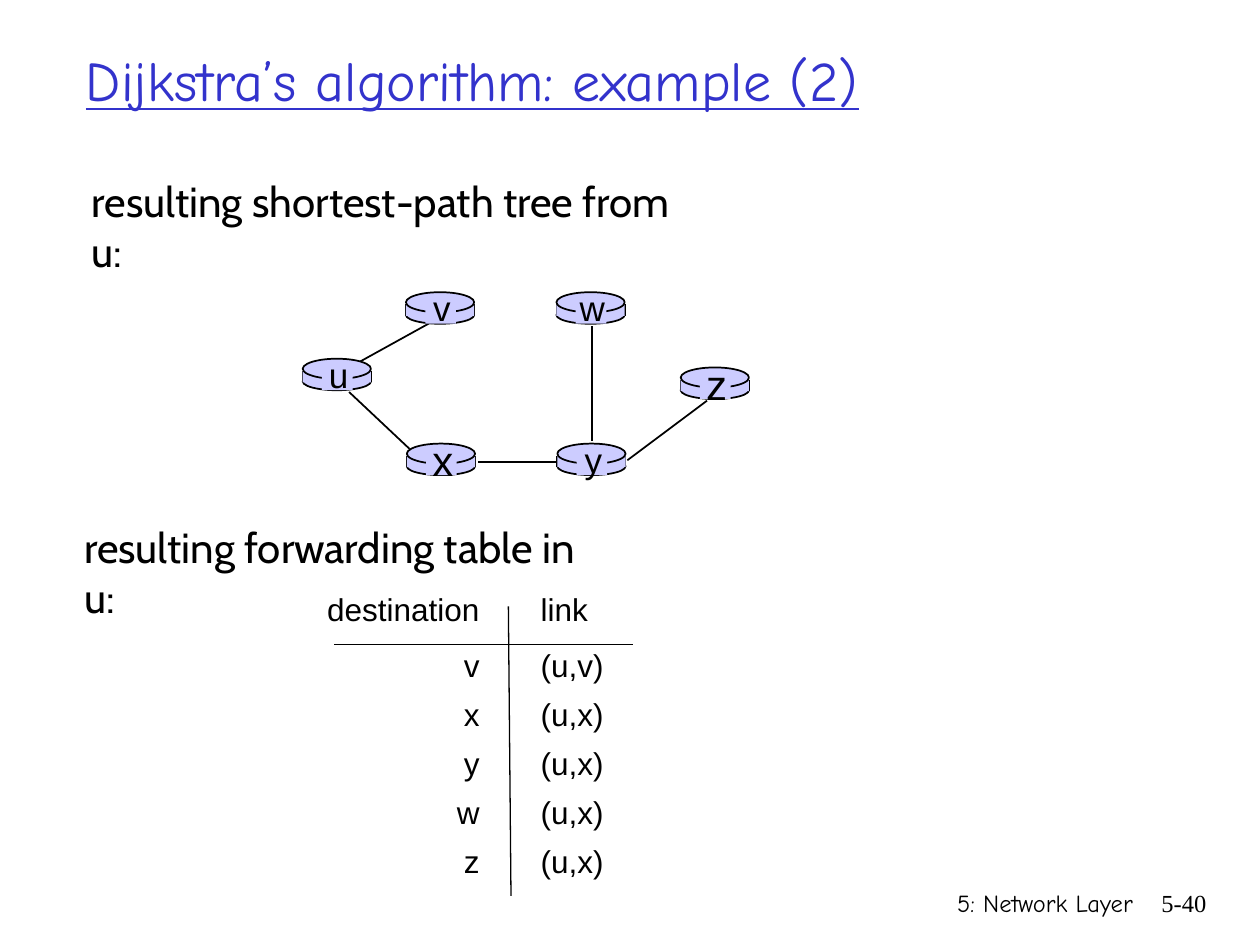
from dataclasses import dataclass

from lxml.etree import SubElement
from pptx import Presentation
from pptx.dml.color import RGBColor as RGB
from pptx.enum.shapes import MSO_CONNECTOR as LINK, MSO_SHAPE as SHAPE
from pptx.enum.text import MSO_ANCHOR as ANCHOR, PP_ALIGN as ALIGN
from pptx.oxml.ns import qn
from pptx.util import Pt


@dataclass(frozen=True)
class Theme:
    """Hold the colours, fonts and type sizes of the slide."""
    ink: RGB = RGB(0, 0, 0)
    blue: RGB = RGB(0x33, 0x33, 0xCC)
    disc: RGB = RGB(0xCC, 0xCC, 0xFF)
    comic: str = "Comic Neue"
    head: str = "Cabin"
    sans: str = "Arial"
    serif: str = "Times New Roman"
    title: int = 32
    lead: int = 24
    node: int = 20
    cell: int = 18
    foot: int = 14


THEME = Theme()
ROUTERS = {
    "u": (0, 38, THEME.node),
    "x": (59.5, 86.5, THEME.lead),
    "v": (59, 0, THEME.node),
    "w": (145, 0, THEME.node),
    "y": (145.5, 86.5, THEME.node),
    "z": (216, 43, THEME.lead),
}
EDGES = [
    (33, 39.5, 75.5, 16),
    (165.5, 19.5, 165.5, 85),
    (185.5, 96, 231, 62),
    (146, 97, 100, 97),
    (61, 89.5, 26.5, 57),
]
ROWS = [("destination", "link"), ("v", "(u,v)"), ("x", "(u,x)"),
        ("y", "(u,x)"), ("w", "(u,x)"), ("z", "(u,x)")]


def style(frame, words, size=THEME.lead, font=THEME.head, color=THEME.ink,
          align=ALIGN.LEFT, under=None):
    """Write words into a text frame with the given format."""
    para = frame.paragraphs[0]
    para.alignment = align
    run = para.add_run()
    run.text = words
    face = run.font
    face.size, face.name, face.underline = Pt(size), font, under
    face.color.rgb = color


def write(slide, box, words, anchor=ANCHOR.TOP, inset=7.2, **form):
    """Add a wrapped text box."""
    frame = slide.shapes.add_textbox(*map(Pt, box)).text_frame
    frame.word_wrap = True
    frame.vertical_anchor = anchor
    frame.margin_left = frame.margin_right = Pt(inset)
    style(frame, words, **form)


def rule(slide, x1, y1, x2, y2, width=1):
    """Draw a straight line."""
    line = slide.shapes.add_connector(LINK.STRAIGHT, *map(Pt, (x1, y1, x2, y2)))
    line.line.color.rgb = THEME.ink
    line.line.width = Pt(width)
    SubElement(line._element.spPr, qn("a:effectLst"))


def plate(slide, kind, box, edge=True):
    """Draw one filled part of a router."""
    part = slide.shapes.add_shape(kind, *map(Pt, box))
    part.shadow.inherit = False
    part.fill.solid()
    part.fill.fore_color.rgb = THEME.disc
    if edge:
        part.line.color.rgb = THEME.ink
        part.line.width = Pt(1)
    else:
        part.line.fill.background()


def router(slide, box, name, size):
    """Draw a router disc with its name."""
    x, y, wide, high = box
    plate(slide, SHAPE.OVAL, (x, y + 8, wide, 10))
    for side in (x, x + wide):
        rule(slide, side, y + 7, side, y + 13.5)
    plate(slide, SHAPE.RECTANGLE, (x, y + 7, wide, 6.5), edge=False)
    plate(slide, SHAPE.OVAL, (x, y, wide, 11.5))
    plate(slide, SHAPE.RECTANGLE, (x + 11, y + 1.5, 17.5, 16.5), edge=False)
    write(slide, (x + 7, y + high / 2 - 16, 27, 32), name, ANCHOR.MIDDLE,
          inset=0, size=size, font=THEME.sans, align=ALIGN.CENTER)


def tree(slide, box):
    """Place the shortest-path tree."""
    left, top = box[:2]
    for x1, y1, x2, y2 in EDGES:
        rule(slide, left + x1, top + y1, left + x2, top + y2)
    for name, (x, y, size) in ROUTERS.items():
        router(slide, (left + x, top + y, 39, 18), name, size)


def routes(slide, box):
    """Place the forwarding table and its two rules."""
    left, top, wide, high = box
    split, first = 107, 36
    grid = slide.shapes.add_table(len(ROWS), 2, *map(Pt, box)).table
    grid.first_row = grid.horz_banding = False
    grid.columns[0].width = Pt(split)
    grid.columns[1].width = Pt(wide - split)
    for i, row in enumerate(ROWS):
        grid.rows[i].height = Pt((high - first) / (len(ROWS) - 1) if i else first)
        for j, words in enumerate(row):
            cell = grid.cell(i, j)
            cell.fill.background()
            cell.vertical_anchor = ANCHOR.MIDDLE
            cell.margin_top = cell.margin_bottom = Pt(0)
            cell.margin_left = Pt(18 if j else 0)
            cell.margin_right = Pt(0 if j else 17)
            style(cell.text_frame, words, size=THEME.cell, font=THEME.sans,
                  align=ALIGN.LEFT if j else ALIGN.RIGHT)
    rule(slide, left + split - 0.5, top + 15.5, left + split + 1, top + high + 5, 0.75)
    rule(slide, left + 7, top + first + 1.5, left + wide, top + first + 1.5, 0.75)


def footer(slide, box):
    """Place the chapter name and the page number."""
    left, top, wide, high = box
    write(slide, (left, top, 228, high), "5: Network Layer", size=THEME.foot,
          font=THEME.comic, align=ALIGN.RIGHT)
    write(slide, (left + wide - 53, top, 53, high), "5-40", size=THEME.foot,
          font=THEME.serif, align=ALIGN.RIGHT)


def main():
    """Build and save the slide."""
    deck = Presentation()
    deck.slide_width, deck.slide_height = Pt(720), Pt(540)
    slide = deck.slides.add_slide(deck.slide_layouts[6])
    write(slide, (42, 12, 612, 67), "Dijkstra’s algorithm: example (2)",
          ANCHOR.MIDDLE, size=THEME.title, font=THEME.comic, color=THEME.blue,
          under=True)
    write(slide, (45.5, 96.5, 360, 36), "resulting shortest-path tree from u:")
    tree(slide, (173, 167, 255, 105))
    write(slide, (41, 294.5, 311, 36), "resulting forwarding table in u:")
    routes(slide, (184, 331, 177.5, 176))
    footer(slide, (426.5, 504, 270, 36))
    deck.save("out.pptx")


if __name__ == "__main__":
    main()
